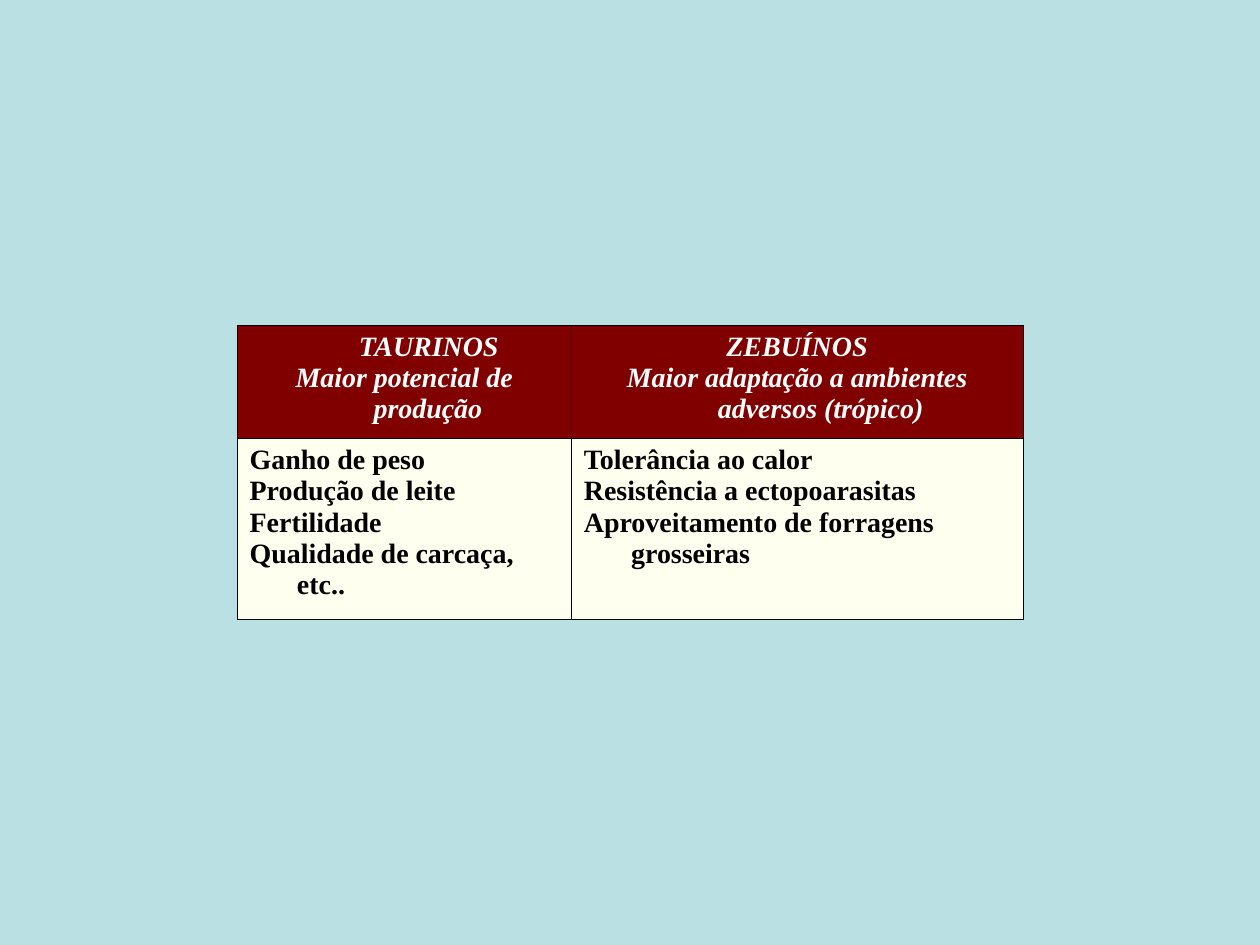
from lxml import etree
from pptx import Presentation
from pptx.dml.color import RGBColor
from pptx.enum.text import PP_ALIGN
from pptx.oxml.ns import qn
from pptx.util import Pt

CENTER, LEFT = PP_ALIGN.CENTER, PP_ALIGN.LEFT

# Content: one row of cells per entry, one paragraph per line
ROWS = [
    [["TAURINOS", "Maior potencial de produção"],
     ["ZEBUÍNOS", "Maior adaptação a ambientes adversos (trópico)"]],
    [["Ganho de peso", "Produção de leite", "Fertilidade", "Qualidade de carcaça, etc.."],
     ["Tolerância ao calor", "Resistência a ectopoarasitas",
      "Aproveitamento de forragens grosseiras"]],
]

# Format
COLORS = {"background": "BBE0E3", "header": "800000", "body": "FFFFEF",
          "header_text": "FFFFFF", "body_text": "000000", "border": "000000"}
STYLES = [
    {"fill": "header", "text": "header_text", "align": CENTER, "italic": True, "top": 0.34},
    {"fill": "body", "text": "body_text", "align": LEFT, "italic": False, "top": 0.96},
]
FONT = {"name": "Times New Roman", "size": Pt(16), "bold": True}
MARGINS = {"margin_left": Pt(7.2), "margin_right": Pt(7.2),
           "margin_top": Pt(3.6), "margin_bottom": Pt(3.6)}
LEFT_EDGE, TOP_EDGE = 135.5, 185.8
COL_WIDTHS = [191, 258]
ROW_HEIGHTS = [64.8, 103.5]
HANGING = (27, -27)
SHIFTED = (28, 0)  # moves the first heading right of the cell centre


def rgb(name):
    return RGBColor.from_string(COLORS[name])


def set_borders(cell, widths):
    tcPr = cell._tc.get_or_add_tcPr()
    for side, width in widths.items():
        ln = etree.SubElement(tcPr, qn("a:ln" + side), w=str(Pt(width)))
        fill = etree.SubElement(ln, qn("a:solidFill"))
        etree.SubElement(fill, qn("a:srgbClr"), val=COLORS["border"])


def fill_cell(cell, lines, style):
    set_borders(cell, {"L": 0.34, "R": 0.34, "T": style["top"], "B": 0.96})
    cell.fill.solid()
    cell.fill.fore_color.rgb = rgb(style["fill"])
    for key, value in MARGINS.items():
        setattr(cell, key, value)
    tf = cell.text_frame
    for i, line in enumerate(lines):
        p = tf.paragraphs[0] if i == 0 else tf.add_paragraph()
        p.alignment = style["align"]
        margin, indent = SHIFTED if line == "TAURINOS" else HANGING
        pPr = p._p.get_or_add_pPr()
        pPr.set("marL", str(Pt(margin)))
        pPr.set("indent", str(Pt(indent)))
        r = p.add_run()
        r.text = line
        for key, value in FONT.items():
            setattr(r.font, key, value)
        r.font.italic = style["italic"]
        r.font.color.rgb = rgb(style["text"])


prs = Presentation()
prs.slide_width, prs.slide_height = Pt(720), Pt(540)
s = prs.slides.add_slide(prs.slide_layouts[6])
s.background.fill.solid()
s.background.fill.fore_color.rgb = rgb("background")

# Comparison table
table = s.shapes.add_table(len(ROWS), len(COL_WIDTHS), Pt(LEFT_EDGE), Pt(TOP_EDGE),
                           Pt(sum(COL_WIDTHS)), Pt(sum(ROW_HEIGHTS))).table
table.first_row = table.horz_banding = False
for col, width in zip(table.columns, COL_WIDTHS):
    col.width = Pt(width)
for row, height, cells, style in zip(table.rows, ROW_HEIGHTS, ROWS, STYLES):
    row.height = Pt(height)
    for cell, lines in zip(row.cells, cells):
        fill_cell(cell, lines, style)

prs.save("out.pptx")
